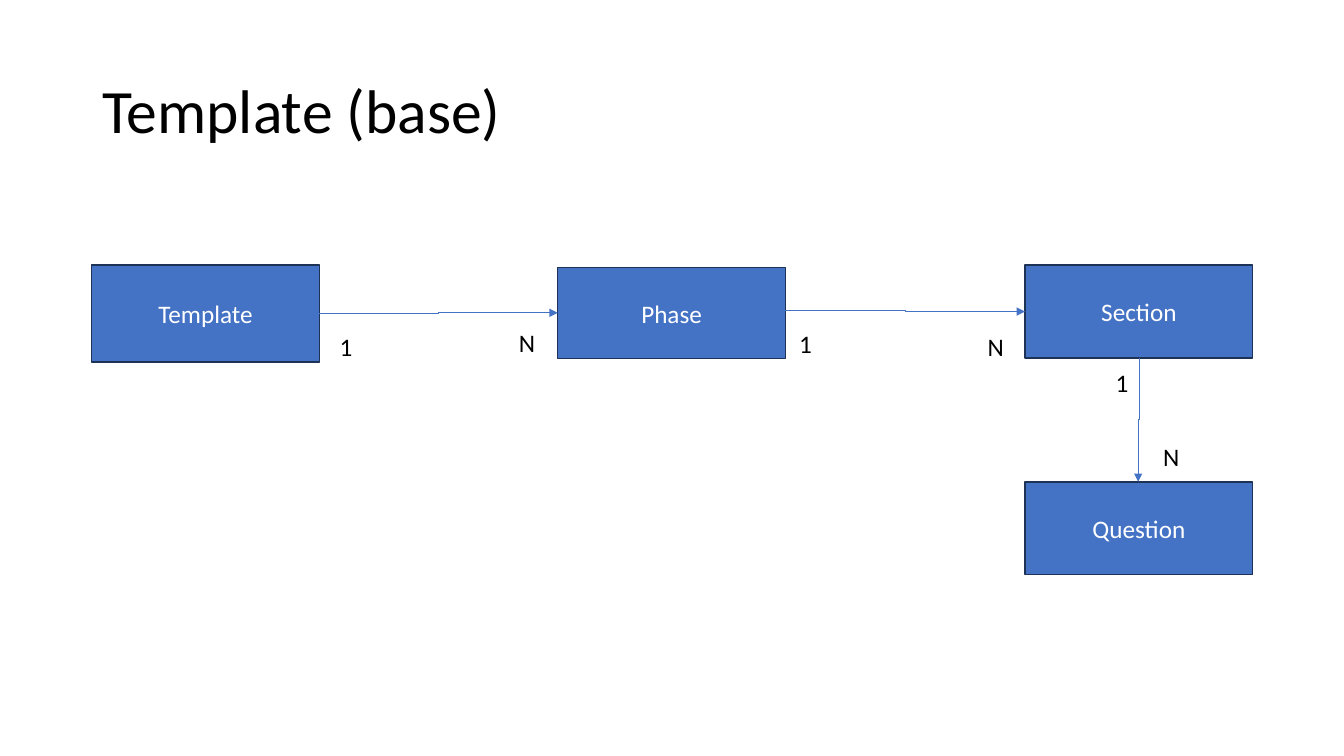
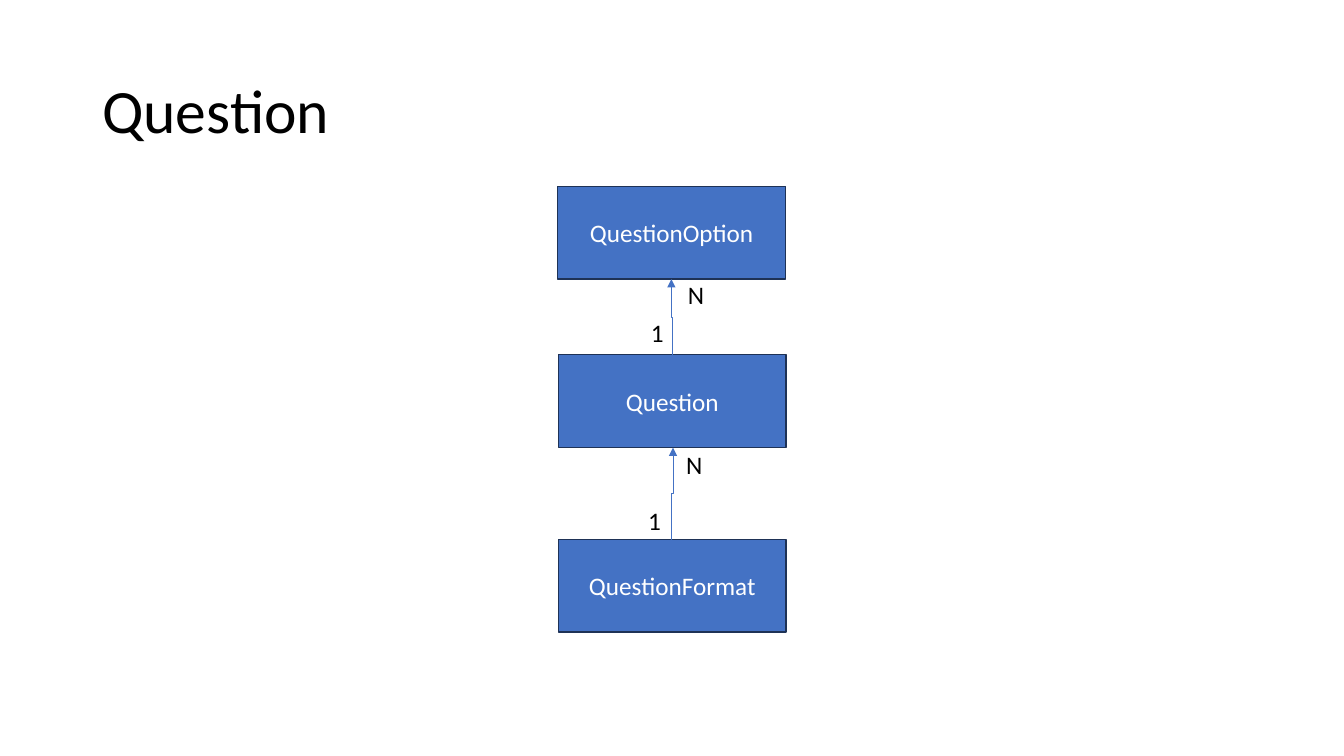
"""Draw the entity diagrams of a template and of its questions."""
from dataclasses import dataclass

from lxml.etree import SubElement
from pptx import Presentation
from pptx.dml.color import RGBColor as Color
from pptx.enum.shapes import MSO_CONNECTOR as Link, MSO_SHAPE as Kind
from pptx.enum.text import MSO_ANCHOR as Anchor, PP_ALIGN as Align
from pptx.oxml.ns import qn
from pptx.slide import Slide
from pptx.text.text import TextFrame as Frame
from pptx.util import Pt

FONT = "Calibri"
HUES = {"fill": "4472C4", "edge": "1E3256", "dark": "000000", "light": "FFFFFF"}
WIDTH = 162.7
COLS = (65.5, 398.4, 732.2)


@dataclass
class Box:
    text: str
    left: float
    top: float
    high: float = 66.2


@dataclass
class Arrow:
    start: tuple[float, float]
    end: tuple[float, float]
    upright: bool = True


@dataclass
class Mark:
    text: str
    left: float
    top: float


@dataclass
class Page:
    title: str
    boxes: list[Box]
    arrows: list[Arrow]
    marks: list[Mark]


PAGES = [
    Page(
        "Template (base)",
        [
            Box("Template", COLS[0], 189.4, 69.1),
            Box("Phase", COLS[1], 191.2, 64.8),
            Box("Section", COLS[2], 189.4),
            Box("Question", COLS[2], 344.2),
        ],
        [
            Arrow((228.2, 223.9), (398.4, 223.5), False),
            Arrow((561, 221.8), (732.2, 222.5), False),
            Arrow((813.7, 255.6), (813, 344.2)),
        ],
        [
            Mark("N", 363.6, 230.4),
            Mark("N", 698.4, 233.3),
            Mark("1", 235.6, 233.3),
            Mark("1", 563.8, 231.1),
            Mark("1", 789.8, 258.5),
            Mark("N", 823.7, 311.8),
        ],
    ),
    Page(
        "Question",
        [
            Box("QuestionOption", COLS[1], 133.2),
            Box("Question", COLS[1] + 0.5, 253.4),
            Box("QuestionFormat", COLS[1] + 0.5, 385.2),
        ],
        [
            Arrow((479.7, 385.5), (480.7, 319.7)),
            Arrow((480.3, 253.4), (479.6, 199.4)),
        ],
        [
            Mark("1", 455.8, 357.1),
            Mark("N", 483.1, 317.5),
            Mark("1", 457.9, 223.2),
            Mark("N", 484.2, 195.8),
        ],
    ),
]


def shade(name: str) -> Color:
    """Return a named colour."""
    return Color.from_string(HUES[name])


def write(frame: Frame, text: str, size: float, hue: str) -> None:
    """Put one styled line in a text frame."""
    frame.text = text
    font = frame.paragraphs[0].runs[0].font
    font.name, font.size = FONT, Pt(size)
    font.color.rgb = shade(hue)


def draw_title(slide: Slide, text: str) -> None:
    """Draw the slide title."""
    frame = slide.shapes.add_textbox(Pt(66), Pt(28.8), Pt(828), Pt(104.4)).text_frame
    frame.word_wrap = True
    frame.vertical_anchor = Anchor.MIDDLE
    write(frame, text, 44, "dark")
    frame.paragraphs[0].line_spacing = 0.9


def draw_box(slide: Slide, box: Box) -> None:
    """Draw an entity."""
    shape = slide.shapes.add_shape(
        Kind.FLOWCHART_PROCESS, Pt(box.left), Pt(box.top), Pt(WIDTH), Pt(box.high)
    )
    shape.shadow.inherit = False
    shape.fill.solid()
    shape.fill.fore_color.rgb = shade("fill")
    shape.line.color.rgb = shade("edge")
    shape.line.width = Pt(1)
    frame = shape.text_frame
    frame.vertical_anchor = Anchor.MIDDLE
    write(frame, box.text, 18, "light")
    frame.paragraphs[0].alignment = Align.CENTER


def draw_arrow(slide: Slide, arrow: Arrow) -> None:
    """Draw a bent arrow, turned by a quarter when upright."""
    (x1, y1), (x2, y2) = arrow.start, arrow.end
    mid_x, mid_y = (x1 + x2) / 2, (y1 + y2) / 2
    wide, high = x2 - x1, y2 - y1
    if arrow.upright:
        wide, high = high, -wide
    line = slide.shapes.add_connector(
        Link.ELBOW,
        Pt(mid_x - wide / 2),
        Pt(mid_y - high / 2),
        Pt(mid_x + wide / 2),
        Pt(mid_y + high / 2),
    )
    line.line.color.rgb = shade("fill")
    line.line.width = Pt(0.5)
    props = line.element.spPr
    if arrow.upright:
        props.xfrm.set("rot", "5400000")
    SubElement(props.ln, qn("a:tailEnd"), type="triangle")
    SubElement(props, qn("a:effectLst"))


def draw_mark(slide: Slide, mark: Mark) -> None:
    """Draw a count beside an arrow end."""
    frame = slide.shapes.add_textbox(
        Pt(mark.left), Pt(mark.top), Pt(25.9), Pt(29)
    ).text_frame
    frame.word_wrap = True
    write(frame, mark.text, 18, "dark")


def main() -> None:
    """Build and save the deck."""
    deck = Presentation()
    deck.slide_width, deck.slide_height = Pt(960), Pt(540)
    for page in PAGES:
        slide = deck.slides.add_slide(deck.slide_layouts[6])
        draw_title(slide, page.title)
        for box in page.boxes:
            draw_box(slide, box)
        for arrow in page.arrows:
            draw_arrow(slide, arrow)
        for mark in page.marks:
            draw_mark(slide, mark)
    deck.save("out.pptx")


if __name__ == "__main__":
    main()
